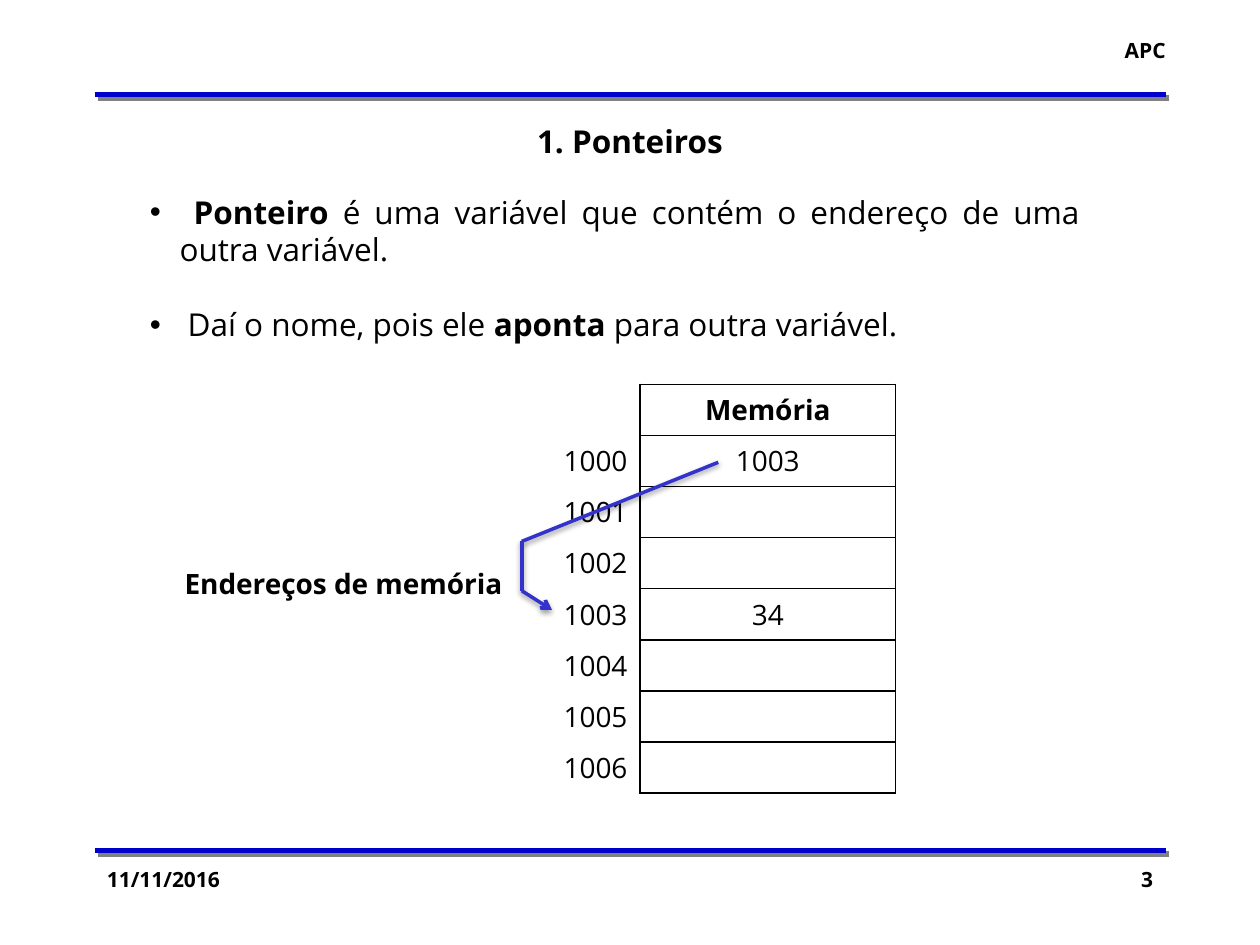
import pptx
import pptx.util
import pptx.dml.color
import pptx.enum.text
import pptx.oxml
import pptx.oxml.ns

Pt = pptx.util.Pt
RGB = pptx.dml.color.RGBColor.from_string
ALIGN = pptx.enum.text.PP_ALIGN
ANCHOR = pptx.enum.text.MSO_ANCHOR
FIT = pptx.enum.text.MSO_AUTO_SIZE
NS = pptx.oxml.ns.nsdecls("a")


class Theme:
    """Colours, font and type sizes of the slide."""
    font = "Open Sans"
    ink, paper, rule, arrow = "000000", "FFFFFF", "0000CC", "3333CC"
    small, cell, body = 12, 16, 18
    hard = ("808080", 100, 0, 2.8, 45)
    soft = ("000000", 38, 3.1, 1.6, 90)


def put(item, values):
    """Set attributes from a dict."""
    for name, value in values.items():
        setattr(item, name, value)


def node(xml):
    """Parse one drawing element."""
    return pptx.oxml.parse_xml(xml.replace(">", f" {NS}>", 1) if "/>" not in xml.split(">")[0] + ">"
                               else xml.replace("/>", f" {NS}/>", 1))


def write(para, runs, size, align=ALIGN.LEFT):
    """Fill a paragraph with (text, bold) runs."""
    para.alignment = align
    for text, bold in runs:
        run = para.add_run()
        run.text = text
        put(run.font, {"name": Theme.font, "size": Pt(size), "bold": bold})
        run.font.color.rgb = RGB(Theme.ink)


def frame(slide, box):
    """Add a wrapping text box and return its frame."""
    text = slide.shapes.add_textbox(*map(Pt, box)).text_frame
    text.word_wrap = True
    return text


def label(slide, box, text, size, align=ALIGN.LEFT):
    """Add one bold line of text."""
    write(frame(slide, box).paragraphs[0], [(text, True)], size, align)


def line(slide, start, end, color, width, shade, head=False):
    """Draw a shadowed line, with an arrowhead if asked."""
    link = slide.shapes.add_connector(1, *map(Pt, start + end))
    link.line.color.rgb = RGB(color)
    link.line.width = Pt(width)
    if head:
        link.line._get_or_add_ln().append(node('<a:tailEnd type="arrow"/>'))
    tint, alpha, blur, dist, turn = shade
    link._element.spPr.append(node(
        f'<a:effectLst><a:outerShdw blurRad="{Pt(blur)}" dist="{Pt(dist)}" '
        f'dir="{turn * 60000}" algn="ctr" rotWithShape="0"><a:srgbClr val="{tint}">'
        f'<a:alpha val="{alpha * 1000}"/></a:srgbClr></a:outerShdw></a:effectLst>'))


def border(slide, box):
    """Draw the rules and the header and footer words."""
    left, top, width, height = box
    for y in (top, top + height):
        line(slide, (left, y), (left + width, y), Theme.rule, 3, Theme.hard)
    label(slide, (left + width - 34.6, top - 36, 41.8, 21.6), "APC", Theme.small, ALIGN.RIGHT)
    foot = top + height + 5.8
    label(slide, (left, foot, 150, 36), "11/11/2016", Theme.small)
    label(slide, (left + width - 150, foot, 150, 36), "3", Theme.small, ALIGN.RIGHT)


def heading(slide, box, text):
    """Place and format the title."""
    title = slide.shapes.title
    put(title, dict(zip(("left", "top", "width", "height"), map(Pt, box))))
    put(title.text_frame, {"vertical_anchor": ANCHOR.TOP, "auto_size": FIT.NONE})
    write(title.text_frame.paragraphs[0], [(text, True)], Theme.body, ALIGN.CENTER)


def bullets(slide, box, items):
    """Write justified bullet points."""
    text = frame(slide, box)
    for i, runs in enumerate(items):
        para = text.add_paragraph() if i else text.paragraphs[0]
        write(para, runs, Theme.body, ALIGN.JUSTIFY)
        put(para, {"line_spacing": Pt(21.5), "space_before": Pt(21.5 if i else 0)})
        props = para._p.get_or_add_pPr()
        props.set("marL", str(Pt(17)))
        props.set("indent", str(Pt(-17)))
        props.append(node('<a:buFont typeface="Arial"/>'))
        props.append(node('<a:buChar char="•"/>'))


def edge(cell, sides):
    """Draw black borders on the named sides of a cell."""
    props = cell._tc.get_or_add_tcPr()
    for i, side in enumerate(sides):
        props.insert(i, node(f'<a:ln{side} w="{Pt(1)}"><a:solidFill>'
                             f'<a:srgbClr val="{Theme.ink}"/></a:solidFill></a:ln{side}>'))


def memory(slide, box, rows):
    """Build the table of addresses and values."""
    left, top, width, height = box
    table = slide.shapes.add_table(len(rows), 2, *map(Pt, box)).table
    put(table, {"first_row": False, "horz_banding": False})
    for col, size in zip(table.columns, (152, width - 152)):
        col.width = Pt(size)
    for r, row in enumerate(rows):
        table.rows[r].height = Pt(height / len(rows))
        for c, text in enumerate(row):
            cell = table.cell(r, c)
            cell.fill.solid()
            cell.fill.fore_color.rgb = RGB(Theme.paper)
            cell.vertical_anchor = ANCHOR.MIDDLE
            para = cell.text_frame.paragraphs[0]
            write(para, [(text, r == 0)] if text else [], Theme.cell,
                  ALIGN.CENTER if c else ALIGN.RIGHT)
            if not text:
                para._p.get_or_add_endParaRPr().set("sz", str(Theme.cell * 100))
            edge(cell, "LRTB" if c else "R")


def pointer(slide, box):
    """Draw the bent arrow from a value to its address."""
    left, top, width, height = box
    spots = [(left + width, top), (left, top + 45.2),
             (left, top + 73.4), (left + 17.2, top + height)]
    for i, (start, end) in enumerate(zip(spots, spots[1:])):
        line(slide, start, end, Theme.arrow, 2, Theme.soft, i == 2)


def main():
    """Build and save the slide."""
    deck = pptx.Presentation()
    put(deck, {"slide_width": Pt(720), "slide_height": Pt(540)})
    slide = deck.slides.add_slide(deck.slide_layouts[5])
    border(slide, (54, 54, 612, 432))
    bullets(slide, (78.5, 106.6, 545.8, 94.3), [
        [(" ", False), ("Ponteiro", True),
         (" é uma variável que contém o endereço de uma outra variável. ", False)],
        [(" Daí o nome, pois ele ", False), ("aponta", True), (" para outra variável.", False)]])
    heading(slide, (54, 66.2, 612, 28.8), "1. Ponteiros")
    values = {1000: "1003", 1003: "34"}
    memory(slide, (213.8, 219.6, 298, 233.6),
           [("", "Memória")] + [(str(n), values.get(n, "")) for n in range(1000, 1007)])
    pointer(slide, (298.2, 264.2, 112.2, 84.3))
    label(slide, (95.8, 320.4, 200.9, 46), "Endereços de memória", Theme.cell, ALIGN.CENTER)
    deck.save("out.pptx")


main()
